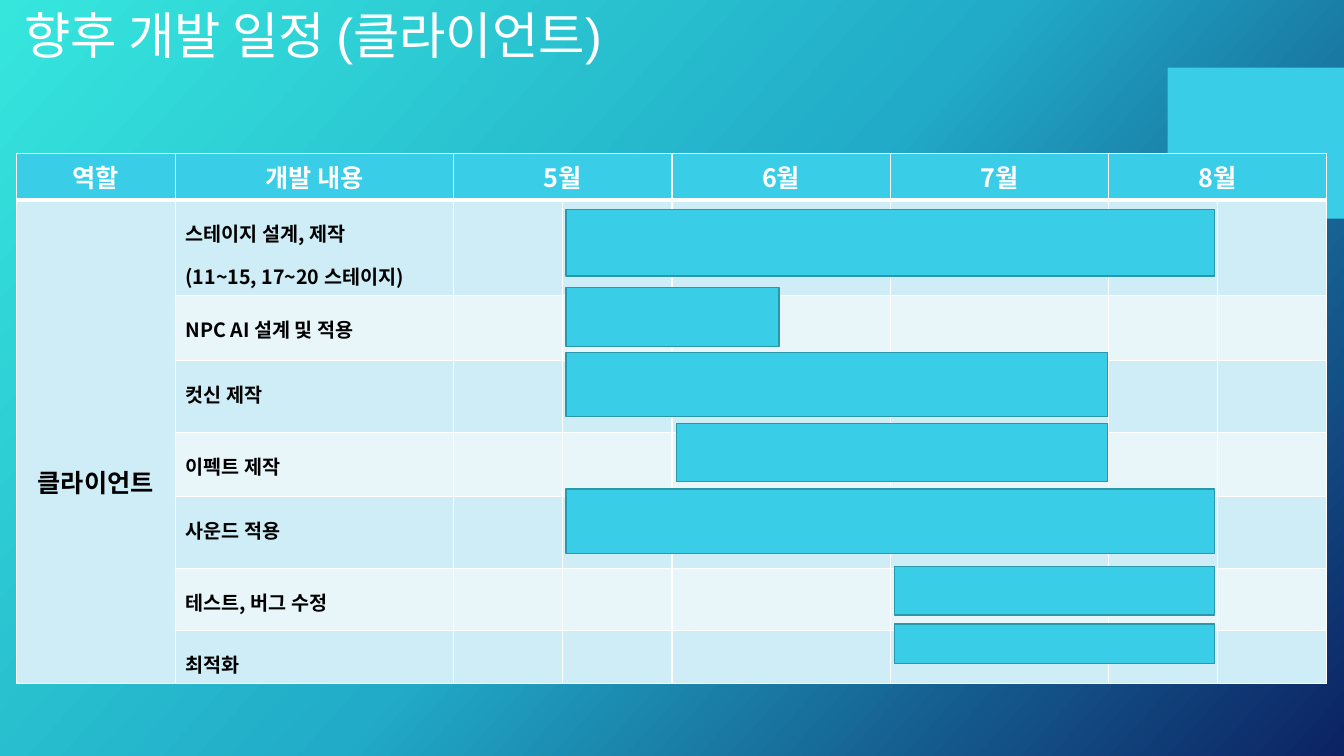
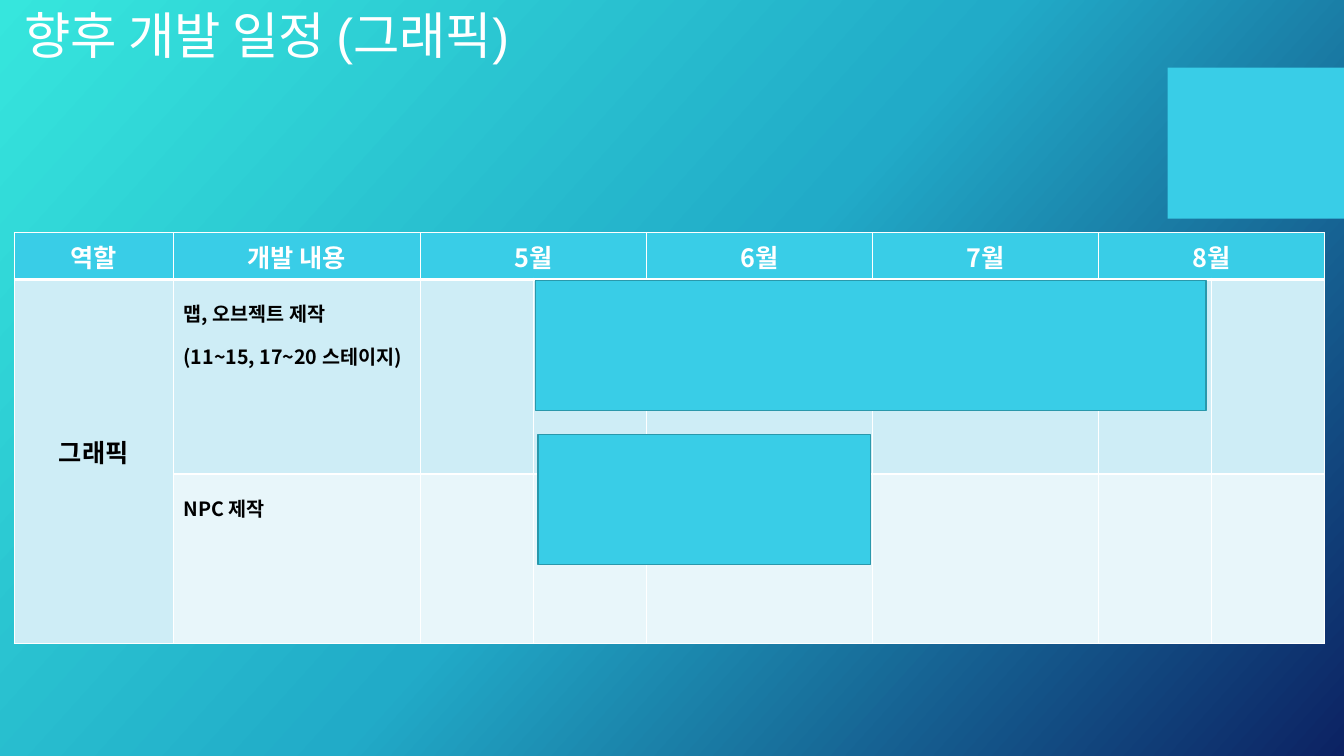
"""Builds two development schedule slides, each a table with time bars."""
from copy import deepcopy

from lxml import etree
from pptx import Presentation
from pptx.dml.color import RGBColor
from pptx.enum.shapes import MSO_SHAPE
from pptx.enum.text import MSO_ANCHOR, PP_ALIGN
from pptx.oxml.ns import qn
from pptx.util import Inches, Pt

RECT = MSO_SHAPE.RECTANGLE
MIDDLE, TOP = MSO_ANCHOR.MIDDLE, MSO_ANCHOR.TOP
LEFT, CENTER = PP_ALIGN.LEFT, PP_ALIGN.CENTER

WHITE, BLACK, CYAN, EDGE = "FFFFFF", "000000", "39CDE7", "2A98AB"
BANDS = ["CEEDF6", "E8F6FA"]
STOPS = [(0, "36E6DD"), (0.5, "21ABC8"), (1, "0C2263")]
SANS = "Noto Sans CJK KR"

WIDTH, HALVES = 13, 8
SPANS = [2, 1, 1, 2]
HEADS = ["역할", "개발 내용", "5월", "6월", "7월", "8월"]

# Bars: start and end in half months, then top and height.
PLANS = [
    {
        "title": "향후 개발 일정 (클라이언트)",
        "role": "클라이언트",
        "pad": (0.78, 0),
        "at": (0.16, 1.52),
        "cols": (1.58, 2.76),
        "rows": [0.46, 0.94, 0.64, 0.72, 0.63, 0.72, 0.61, 0.53],
        "tasks": [
            ["스테이지 설계, 제작", "(11~15, 17~20 스테이지)"],
            ["NPC AI 설계 및 적용"],
            ["컷신 제작"],
            ["이펙트 제작"],
            ["사운드 적용"],
            ["테스트, 버그 수정"],
            ["최적화"],
        ],
        "bars": [
            (1.03, 6.97, 2.08, 0.66),
            (1.03, 2.98, 2.85, 0.59),
            (1.03, 5.99, 3.5, 0.63),
            (2.04, 5.99, 4.2, 0.58),
            (1.03, 6.97, 4.85, 0.64),
            (4.04, 6.97, 5.62, 0.48),
            (4.04, 6.97, 6.19, 0.39),
        ],
    },
    {
        "title": "향후 개발 일정 (그래픽)",
        "role": "그래픽",
        "pad": (0, 0.2),
        "at": (0.14, 2.31),
        "cols": (1.58, 2.45),
        "rows": [0.45, 1.93, 1.68],
        "tasks": [
            ["맵, 오브젝트 제작", "(11~15, 17~20 스테이지)"],
            ["NPC 제작"],
        ],
        "bars": [(1.02, 6.95, 2.78, 1.29), (1.04, 3.98, 4.31, 1.29)],
    },
]


def paint(part, hue):
    """Give a solid colour to a fill."""
    part.solid()
    part.fore_color.rgb = RGBColor.from_string(hue)


def write(frame, lines, size, hue, name, bold=False, align=LEFT, gap=1.0):
    """Fill a text frame with equally styled paragraphs."""
    frame.text = "\n".join(lines)
    for para in frame.paragraphs:
        para.alignment, para.line_spacing = align, gap
        font = para.font
        font.size, font.name, font.bold = Pt(size), name, bold
        font.color.rgb = RGBColor.from_string(hue)


def box(slide, left, top, width, height, edge=None):
    """Draw a cyan rectangle."""
    shape = slide.shapes.add_shape(
        RECT, *(Inches(v) for v in (left, top, width, height)))
    shape.shadow.inherit = False
    paint(shape.fill, CYAN)
    if edge:
        paint(shape.line.fill, edge)
        shape.line.width = Pt(1)
    else:
        shape.line.fill.background()
    return shape


def rule(cell, foot):
    """Set white cell borders, with the bottom one of a given weight."""
    props = cell._tc.get_or_add_tcPr()
    for spot, (side, size) in enumerate(
            [("lnL", 1), ("lnR", 1), ("lnT", 1), ("lnB", foot)]):
        line = etree.Element(qn("a:" + side), w=str(Pt(size)))
        fill = etree.SubElement(line, qn("a:solidFill"))
        etree.SubElement(fill, qn("a:srgbClr"), val=WHITE)
        props.insert(spot, line)


def theme(deck):
    """Set the shared background and title place, and return the layout."""
    layout = deck.slide_layouts[5]
    fill = deck.slide_master.background.fill
    fill.gradient()
    fill.gradient_angle = 318
    first = fill.gradient_stops[0]._gs
    first.addnext(deepcopy(first))
    for stop, (place, hue) in zip(fill.gradient_stops, STOPS):
        stop.position = place
        stop.color.rgb = RGBColor.from_string(hue)
    title = layout.placeholders[0]
    title.left, title.top = Inches(0.14), 0
    title.width, title.height = Inches(6.67), Inches(0.75)
    return layout


def chart(slide, plan):
    """Add the schedule table and its time bars."""
    left, top = plan["at"]
    half = (WIDTH - sum(plan["cols"])) / HALVES
    cols = [*plan["cols"], half, half, 2 * half, 2 * half, half, half]
    rows = plan["rows"]
    grid = slide.shapes.add_table(
        len(rows), len(cols), Inches(left), Inches(top),
        Inches(WIDTH), Inches(sum(rows))).table
    for col, wide in zip(grid.columns, cols):
        col.width = Inches(wide)
    for r, tall in enumerate(rows):
        grid.rows[r].height = Inches(tall)
        for c in range(len(cols)):
            cell = grid.cell(r, c)
            paint(cell.fill, BANDS[(r - 1) % 2] if r else CYAN)
            rule(cell, 1 if r else 3)
    for c, head in zip([0, 1, 2, 4, 5, 6], HEADS):
        write(grid.cell(0, c).text_frame, [head], 18, WHITE, SANS, True, CENTER)
    for r, lines in enumerate(plan["tasks"], 1):
        write(grid.cell(r, 1).text_frame, lines, 14, BLACK, SANS, True, gap=1.5)
    for c in (2, 6):
        grid.cell(0, c).merge(grid.cell(0, c + 1))
    role = grid.cell(1, 0)
    role.merge(grid.cell(len(rows) - 1, 0))
    role.vertical_anchor = MIDDLE
    role.margin_top, role.margin_bottom = (Inches(v) for v in plan["pad"])
    write(role.text_frame, [plan["role"]], 18, BLACK, SANS, True, CENTER)
    start = left + sum(plan["cols"])
    for a, b, y, tall in plan["bars"]:
        box(slide, start + a * half, y, (b - a) * half, tall, EDGE)


def main():
    """Build and save the deck."""
    deck = Presentation()
    deck.slide_width, deck.slide_height = Inches(13.33), Inches(7.5)
    layout = theme(deck)
    for n, plan in enumerate(PLANS):
        slide = deck.slides.add_slide(layout)
        if n == 0:
            block = box(slide, 11.58, 0.67, 1.75, 1.5)
            layout.shapes.element.append(block.element)
        frame = slide.shapes.title.text_frame
        frame.vertical_anchor = MIDDLE
        write(frame, [plan["title"]], 36, WHITE, "Arial", gap=0.9)
        chart(slide, plan)
    deck.save("out.pptx")


if __name__ == "__main__":
    main()
